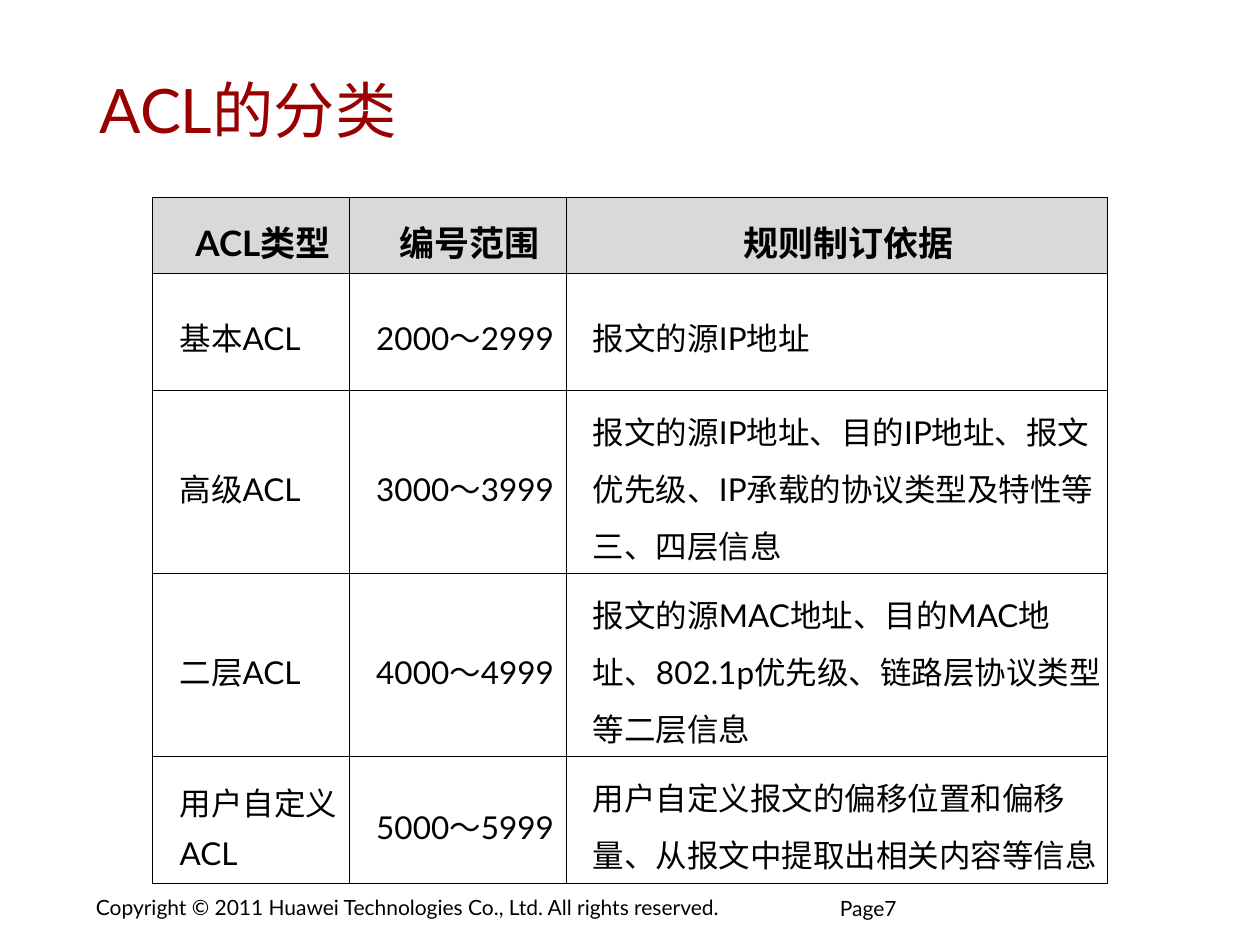
from dataclasses import dataclass

from lxml import etree
from pptx import Presentation
from pptx.dml.color import RGBColor
from pptx.enum import text
from pptx.oxml import ns
from pptx.util import Pt


@dataclass(frozen=True)
class Theme:
    font: str = "Lato"
    ink: str = "000000"
    title_color: str = "990000"
    header_fill: str = "D9D9D9"
    title_size: float = 35
    header_size: float = 20
    cell_size: float = 18
    footer_size: float = 12
    border: float = 0.45


class SlideBuilder:
    def __init__(self, deck, theme):
        self.theme = theme
        self.page = deck.slides.add_slide(deck.slide_layouts[5])

    def style(self, para, size, color, bold=False):
        para.font.name = self.theme.font
        para.font.size = Pt(size)
        para.font.bold = bold
        para.font.color.rgb = RGBColor.from_string(color)

    def set_margins(self, frame, horizontal, vertical):
        frame.margin_left = frame.margin_right = Pt(horizontal)
        frame.margin_top = frame.margin_bottom = Pt(vertical)

    def title(self, words, left, top, width, height):
        box = self.page.shapes.title
        box.left, box.top, box.width, box.height = map(Pt, (left, top, width, height))
        frame = box.text_frame
        frame.text = words
        frame.auto_size = text.MSO_AUTO_SIZE.NONE
        frame.vertical_anchor = text.MSO_ANCHOR.MIDDLE
        self.set_margins(frame, 6.6, 3.2)
        para = frame.paragraphs[0]
        para.alignment = text.PP_ALIGN.LEFT
        self.style(para, self.theme.title_size, self.theme.title_color)

    def label(self, words, left, top, width, height, margins=(0, 0), wrap=True, spacing=None):
        box = self.page.shapes.add_textbox(*map(Pt, (left, top, width, height)))
        frame = box.text_frame
        frame.text = words
        frame.word_wrap = wrap
        self.set_margins(frame, *margins)
        para = frame.paragraphs[0]
        para.line_spacing = spacing
        self.style(para, self.theme.footer_size, self.theme.ink)

    def cell_borders(self, cell):
        properties = cell._tc.get_or_add_tcPr()
        for side in ("lnL", "lnR", "lnT", "lnB"):
            line = etree.SubElement(properties, ns.qn(f"a:{side}"), w=str(Pt(self.theme.border)))
            fill = etree.SubElement(line, ns.qn("a:solidFill"))
            etree.SubElement(fill, ns.qn("a:srgbClr"), val=self.theme.ink)

    def cell(self, cell, words, header):
        cell.text = words
        cell.vertical_anchor = text.MSO_ANCHOR.MIDDLE
        self.set_margins(cell, 1.5, 3.6)
        self.cell_borders(cell)
        if header:
            cell.fill.solid()
            cell.fill.fore_color.rgb = RGBColor.from_string(self.theme.header_fill)
        else:
            cell.fill.background()
        para = cell.text_frame.paragraphs[0]
        para.alignment = text.PP_ALIGN.CENTER if header else text.PP_ALIGN.LEFT
        para.line_spacing = 1.25
        para.space_before = para.space_after = Pt(4)
        properties = para._p.get_or_add_pPr()
        properties.set("marL", str(Pt(14)))
        properties.set("hangingPunct", "0")
        size = self.theme.header_size if header else self.theme.cell_size
        self.style(para, size, self.theme.ink, header)

    def table(self, rows, left, top, widths, heights):
        frame = self.page.shapes.add_table(
            len(rows), len(widths), *map(Pt, (left, top, sum(widths), sum(heights)))
        )
        table = frame.table
        table.first_row = table.horz_banding = False
        for column, width in zip(table.columns, widths):
            column.width = Pt(width)
        for index, (row, height) in enumerate(zip(rows, heights)):
            table.rows[index].height = Pt(height)
            for position, words in enumerate(row):
                self.cell(table.cell(index, position), words, header=index == 0)


ACL_TYPES = [
    ("ACL类型", "编号范围", "规则制订依据"),
    ("基本ACL", "2000～2999", "报文的源IP地址"),
    ("高级ACL", "3000～3999", "报文的源IP地址、目的IP地址、报文优先级、IP承载的协议类型及特性等三、四层信息"),
    ("二层ACL", "4000～4999", "报文的源MAC地址、目的MAC地址、802.1p优先级、链路层协议类型等二层信息"),
    ("用户自定义ACL", "5000～5999", "用户自定义报文的偏移位置和偏移量、从报文中提取出相关内容等信息"),
]


def main():
    deck = Presentation()
    deck.slide_width, deck.slide_height = Pt(720), Pt(540)
    slide = SlideBuilder(deck, Theme())
    slide.label(
        "Copyright © 2011 Huawei Technologies Co., Ltd. All rights reserved.",
        48.2, 508, 401, 21, margins=(6.6, 3.2), wrap=False,
    )
    slide.title("ACL的分类", 50.4, 28.1, 608.4, 68.4)
    slide.table(ACL_TYPES, 87.1, 112.5, (112.4, 123.9, 309.2), (43.5, 66.9, 104.6, 104.6, 72.6))
    slide.label("Page7", 480, 514, 119.5, 26, spacing=0.85)
    deck.save("out.pptx")


if __name__ == "__main__":
    main()
